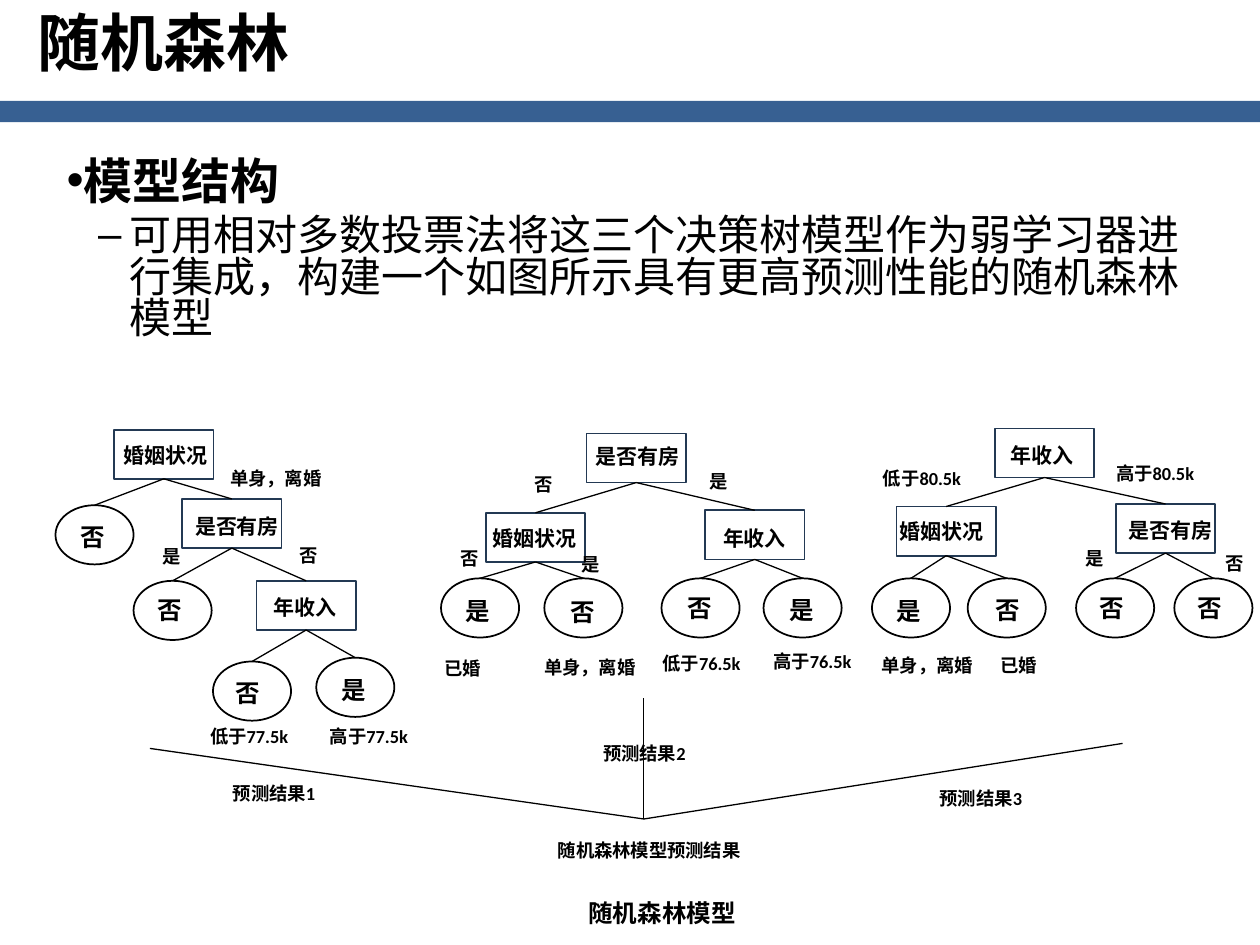
from pptx import Presentation
from pptx.dml.color import RGBColor
from pptx.enum.shapes import MSO_CONNECTOR, MSO_SHAPE
from pptx.enum.text import MSO_ANCHOR, PP_ALIGN
from pptx.oxml.ns import qn
from pptx.util import Inches, Pt
from lxml.etree import SubElement

THEME = {
    "heading_font": "Noto Sans CJK SC", "body_font": "Arial", "label_font": "Calibri",
    "ink": RGBColor(0, 0, 0), "band": RGBColor(0x37, 0x60, 0x92),
    "question_line": RGBColor(0x23, 0x39, 0x53),
    "title": 36, "topic": 28, "body": 24, "leaf": 14, "caption": 14,
    "question": 12, "label": 10.5,
}

TITLE = "随机森林"
TOPIC = "模型结构"
DETAIL = "可用相对多数投票法将这三个决策树模型作为弱学习器进行集成，构建一个如图所示具有更高预测性能的随机森林模型"

QUESTION_SIZE = (0.79, 0.39)
LEAF_SIZE = (0.62, 0.47)
LEAF_ROW = 4.59

# name: (centre, top, wording, wording left, wording top)
QUESTIONS = {
    "marriage 1": (1.3, 3.41, "婚姻状况", 0.88, 3.46),
    "house 1": (1.84, 3.96, "是否有房", 1.45, 4.03),
    "income 1": (2.43, 4.61, "年收入", 2.07, 4.67),
    "house 2": (5.05, 3.44, "是否有房", 4.63, 3.47),
    "marriage 2": (4.25, 4.07, "婚姻状况", 3.81, 4.12),
    "income 2": (5.99, 4.05, "年收入", 5.64, 4.12),
    "income 3": (8.29, 3.4, "年收入", 7.92, 3.46),
    "marriage 3": (7.51, 4.02, "婚姻状况", 7.04, 4.07),
    "house 3": (9.25, 4, "是否有房", 8.86, 4.06),
}
LEAVES = {
    "leaf 1a": (0.75, 4.01, "否", 0.54, 4.09),
    "leaf 1b": (1.37, 4.61, "否", 1.15, 4.67),
    "leaf 1c": (2, 5.25, "否", 1.77, 5.33),
    "leaf 1d": (2.82, 5.22, "是", 2.61, 5.31),
    "leaf 2a": (3.81, LEAF_ROW, "是", 3.6, 4.68),
    "leaf 2b": (4.63, LEAF_ROW, "否", 4.43, 4.69),
    "leaf 2c": (5.56, LEAF_ROW, "否", 5.36, 4.66),
    "leaf 2d": (6.37, LEAF_ROW, "是", 6.17, 4.67),
    "leaf 3a": (7.23, LEAF_ROW, "是", 7.02, 4.68),
    "leaf 3b": (7.99, LEAF_ROW, "否", 7.8, 4.67),
    "leaf 3c": (8.85, LEAF_ROW, "否", 8.63, 4.66),
    "leaf 3d": (9.63, LEAF_ROW, "否", 9.41, 4.66),
}
BRANCHES = {
    "marriage 1": ("leaf 1a", "house 1"),
    "house 1": ("leaf 1b", "income 1"),
    "income 1": ("leaf 1c", "leaf 1d"),
    "house 2": ("marriage 2", "income 2"),
    "marriage 2": ("leaf 2a", "leaf 2b"),
    "income 2": ("leaf 2c", "leaf 2d"),
    "income 3": ("marriage 3", "house 3"),
    "marriage 3": ("leaf 3a", "leaf 3b"),
    "house 3": ("leaf 3c", "leaf 3d"),
}
BRANCH_LABELS = [
    ("低于77.5k", 1.57, 5.71, 0.87), ("高于77.5k", 2.52, 5.71, 0.9),
    ("低于76.5k", 5.16, 5.13, 1.13), ("高于76.5k", 6.04, 5.11, 0.9),
    ("低于80.5k", 6.91, 3.66, 1.13), ("高于80.5k", 8.76, 3.62, 0.9),
    ("单身，离婚", 1.73, 3.66, 1.13), ("单身，离婚", 4.22, 5.16, 1.13),
    ("已婚", 3.43, 5.17, 0.58), ("单身，离婚", 6.9, 5.14, 1.13),
    ("已婚", 7.84, 5.14, 0.58), ("否", 4.14, 3.71, 0.4),
    ("是", 5.53, 3.68, 0.58), ("否", 9.63, 4.33, 0.4),
    ("是", 8.52, 4.29, 0.4), ("是", 4.52, 4.34, 0.4),
    ("否", 3.56, 4.29, 0.4), ("否", 2.28, 4.27, 0.4),
    ("是", 1.19, 4.28, 0.4),
]
VOTE_POINT = (5.11, 6.5)
VOTE_STARTS = [(1.19, 5.94), (5.11, 5.54), (8.91, 5.9)]
VOTE_LABELS = [
    ("预测结果1", 1.75, 6.16, 0.87), ("预测结果3", 7.36, 6.2, 0.87),
    ("预测结果2", 4.69, 5.84, 0.87), ("随机森林模型预测结果", 4.33, 6.61, 2.14),
]


def style(para, size, font="label_font", bold=True):
    para.font.name = THEME[font]
    para.font.size = Pt(THEME[size])
    para.font.bold = bold
    para.font.color.rgb = THEME["ink"]


def add_text(slide, words, left, top, width, height, size, font="label_font"):
    box = slide.shapes.add_textbox(Inches(left), Inches(top), Inches(width), Inches(height))
    box.text_frame.word_wrap = True
    para = box.text_frame.paragraphs[0]
    para.text = words
    style(para, size, font)
    return box


def add_bullet(para, mark, margin, indent):
    properties = para._p.get_or_add_pPr()
    properties.set("marL", str(Inches(margin)))
    properties.set("indent", str(Inches(indent)))
    SubElement(properties, qn("a:buFont")).set("typeface", THEME["body_font"])
    SubElement(properties, qn("a:buChar")).set("char", mark)


def add_node(slide, preset, size, centre, top, color, weight):
    width, height = size
    node = slide.shapes.add_shape(preset, Inches(centre - width / 2), Inches(top),
                                  Inches(width), Inches(height))
    node.shadow.inherit = False
    node.fill.background()
    node.line.color.rgb = color
    node.line.width = Pt(weight)
    return node


def add_line(slide, start=(0, 0), end=(0, 0)):
    line = slide.shapes.add_connector(MSO_CONNECTOR.STRAIGHT, *map(Inches, start + end))
    line.line.color.rgb = THEME["ink"]
    line.line.width = Pt(0.75)
    SubElement(line._element.spPr, qn("a:effectLst"))
    return line


def add_header(slide):
    band = slide.shapes.add_shape(MSO_SHAPE.RECTANGLE, 0, Inches(0.8), Inches(10), Inches(0.17))
    band.shadow.inherit = False
    band.fill.solid()
    band.fill.fore_color.rgb = THEME["band"]
    band.line.fill.background()
    title = add_text(slide, TITLE, 0.2, 0.05, 8.5, 0.55, "title", "heading_font")
    title.text_frame.vertical_anchor = MSO_ANCHOR.MIDDLE


def add_body(slide):
    box = add_text(slide, TOPIC, 0.43, 1.23, 9.13, 5.75, "topic", "heading_font")
    topic = box.text_frame.paragraphs[0]
    detail = box.text_frame.add_paragraph()
    detail.text = DETAIL
    detail.level = 1
    for para in (topic, detail):
        para.line_spacing = 0.82
    detail.space_before = Pt(4.8)
    add_bullet(topic, "•", 0, 0)
    add_bullet(detail, "–", 0.5, -0.25)
    style(topic, "topic", "heading_font")
    style(detail, "body", "body_font", False)


def add_trees(slide):
    nodes = {}
    for name, (centre, top, words, left, text_top) in QUESTIONS.items():
        nodes[name] = add_node(slide, MSO_SHAPE.RECTANGLE, QUESTION_SIZE, centre, top,
                               THEME["question_line"], 1)
        add_text(slide, words, left, text_top, 0.94, 0.3, "question")
    for name, (centre, top, words, left, text_top) in LEAVES.items():
        nodes[name] = add_node(slide, MSO_SHAPE.OVAL, LEAF_SIZE, centre, top, THEME["ink"], 1)
        add_text(slide, words, left, text_top, 0.4, 0.34, "leaf")
    for parent, children in BRANCHES.items():
        for child in children:
            branch = add_line(slide)
            branch.begin_connect(nodes[parent], 2)
            branch.end_connect(nodes[child], 0)


def main():
    deck = Presentation()
    deck.slide_width, deck.slide_height = Inches(10), Inches(7.5)
    slide = deck.slides.add_slide(deck.slide_layouts[6])
    add_header(slide)
    add_body(slide)
    add_trees(slide)
    for start in VOTE_STARTS:
        add_line(slide, start, VOTE_POINT)
    for words, left, top, width in BRANCH_LABELS + VOTE_LABELS:
        add_text(slide, words, left, top, width, 0.28, "label")
    caption = add_text(slide, "随机森林模型", 3.86, 7.08, 2.79, 0.34, "caption")
    caption.text_frame.paragraphs[0].alignment = PP_ALIGN.CENTER
    deck.save("out.pptx")


if __name__ == "__main__":
    main()
